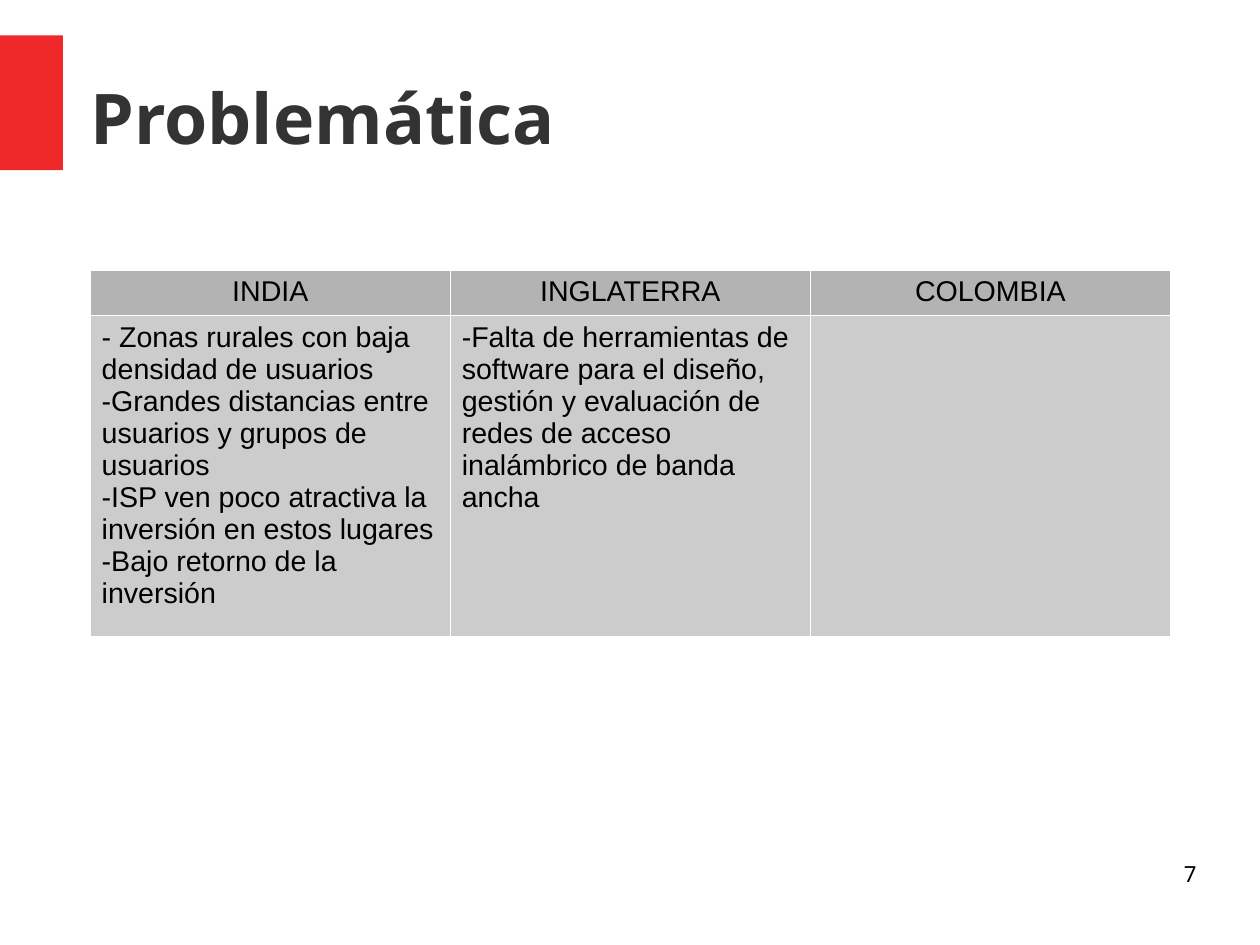
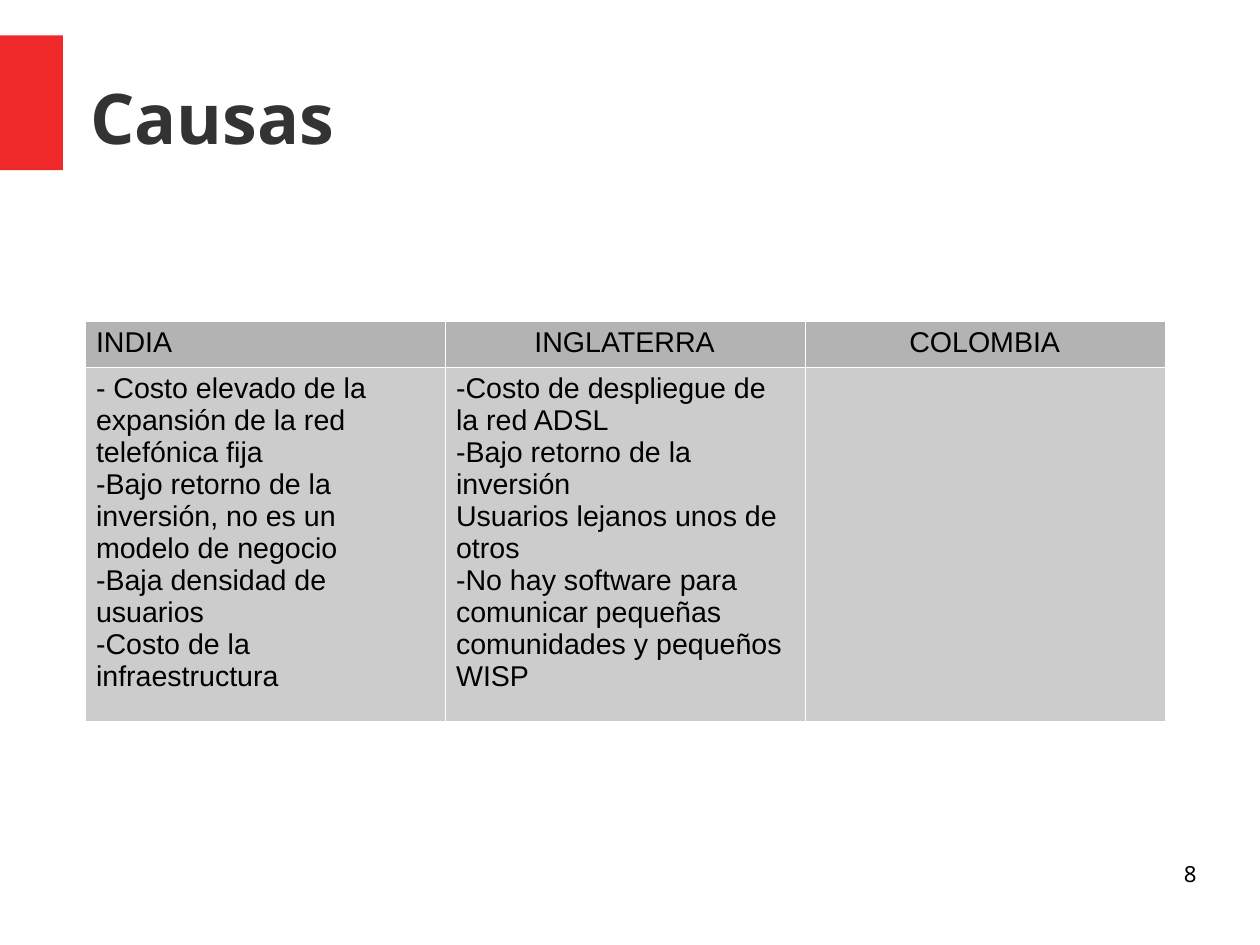
from lxml import etree
from pptx import Presentation
from pptx.dml.color import RGBColor
from pptx.enum import shapes, text
from pptx.oxml.ns import qn
from pptx.util import Cm, Inches, Pt

RED, DARK, BLACK, WHITE = "EF2929", "333333", "000000", "FFFFFF"
HEAD, BODY = "B3B3B3", "CCCCCC"
LEFT, CENTER, RIGHT = text.PP_ALIGN.LEFT, text.PP_ALIGN.CENTER, text.PP_ALIGN.RIGHT
COLS = ["INDIA", "INGLATERRA", "COLOMBIA"]

# title, page, table left, table top, body height, header alignments, body paragraphs
PAGES = [
    ("Problemática", 7, 0.79, 2.36, 2.8, [CENTER, CENTER, CENTER], [
        ["- Zonas rurales con baja densidad de usuarios",
         "-Grandes distancias entre usuarios y grupos de usuarios",
         "-ISP ven poco atractiva la inversión en estos lugares",
         "-Bajo retorno de la inversión"],
        ["-Falta de herramientas de software para el diseño, gestión y "
         "evaluación de redes de acceso inalámbrico de banda ancha"],
        []]),
    ("Causas", 8, 0.74, 2.81, 3.1, [LEFT, CENTER, CENTER], [
        ["- Costo elevado de la expansión de la red telefónica fija",
         "-Bajo retorno de la inversión, no es un modelo de negocio",
         "-Baja densidad de usuarios",
         "-Costo de la infraestructura"],
        ["-Costo de despliegue de la red ADSL",
         "-Bajo retorno de la inversión",
         "Usuarios lejanos unos de otros",
         "-No hay software para comunicar pequeñas comunidades y pequeños WISP"],
        []]),
]


def write(frame, lines, font, size, color, align=LEFT, bold=False):
    frame.text = "\n".join(lines)
    for para in frame.paragraphs:
        para.alignment = align
        for run in para.runs:
            run.font.name = font
            run.font.size = Pt(size)
            run.font.bold = bold
            run.font.color.rgb = RGBColor.from_string(color)


def paint(cell, color):
    """Fill a cell and give it thin white borders."""
    props = cell._tc.get_or_add_tcPr()
    for side in ("lnL", "lnR", "lnT", "lnB"):
        line = etree.SubElement(props, qn("a:" + side), w="762")
        fill = etree.SubElement(line, qn("a:solidFill"))
        etree.SubElement(fill, qn("a:srgbClr"), val=WHITE)
    cell.fill.solid()
    cell.fill.fore_color.rgb = RGBColor.from_string(color)


prs = Presentation()
prs.slide_width, prs.slide_height = Cm(28), Cm(21)
layout = prs.slide_layouts[5]

for name, page, left, top, height, aligns, body in PAGES:
    slide = prs.slides.add_slide(layout)

    band = slide.shapes.add_shape(shapes.MSO_SHAPE.RECTANGLE, 0, Inches(0.31),
                                  Inches(0.55), Inches(1.18))
    band.shadow.inherit = False
    band.fill.solid()
    band.fill.fore_color.rgb = RGBColor.from_string(RED)
    band.line.fill.background()

    title = slide.shapes.title
    title.left, title.top = Inches(0.79), Inches(0.33)
    title.width, title.height = Inches(9.68), Inches(1.38)
    number = slide.shapes.add_textbox(Inches(7.9), Inches(7.53),
                                      Inches(2.57), Inches(0.57))
    for box in (title, number):
        frame = box.text_frame
        frame.word_wrap = True
        frame.margin_left = frame.margin_right = 0
        frame.margin_top = frame.margin_bottom = 0
    title.text_frame.vertical_anchor = text.MSO_ANCHOR.MIDDLE
    write(title.text_frame, [name], "Noto Sans", 44, DARK, bold=True)
    write(number.text_frame, [str(page)], "Noto Sans", 14, BLACK, RIGHT)

    table = slide.shapes.add_table(2, len(COLS), Inches(left), Inches(top),
                                   Inches(9.45), Inches(0.4 + height)).table
    table.first_row = table.horz_banding = False
    table.rows[0].height, table.rows[1].height = Inches(0.4), Inches(height)
    for col, label in enumerate(COLS):
        table.columns[col].width = Inches(3.15)
        head, cell = table.cell(0, col), table.cell(1, col)
        paint(head, HEAD)
        paint(cell, BODY)
        write(head.text_frame, [label], "Arial", 18, BLACK, aligns[col])
        write(cell.text_frame, body[col], "Arial", 18, BLACK)

prs.save("out.pptx")
